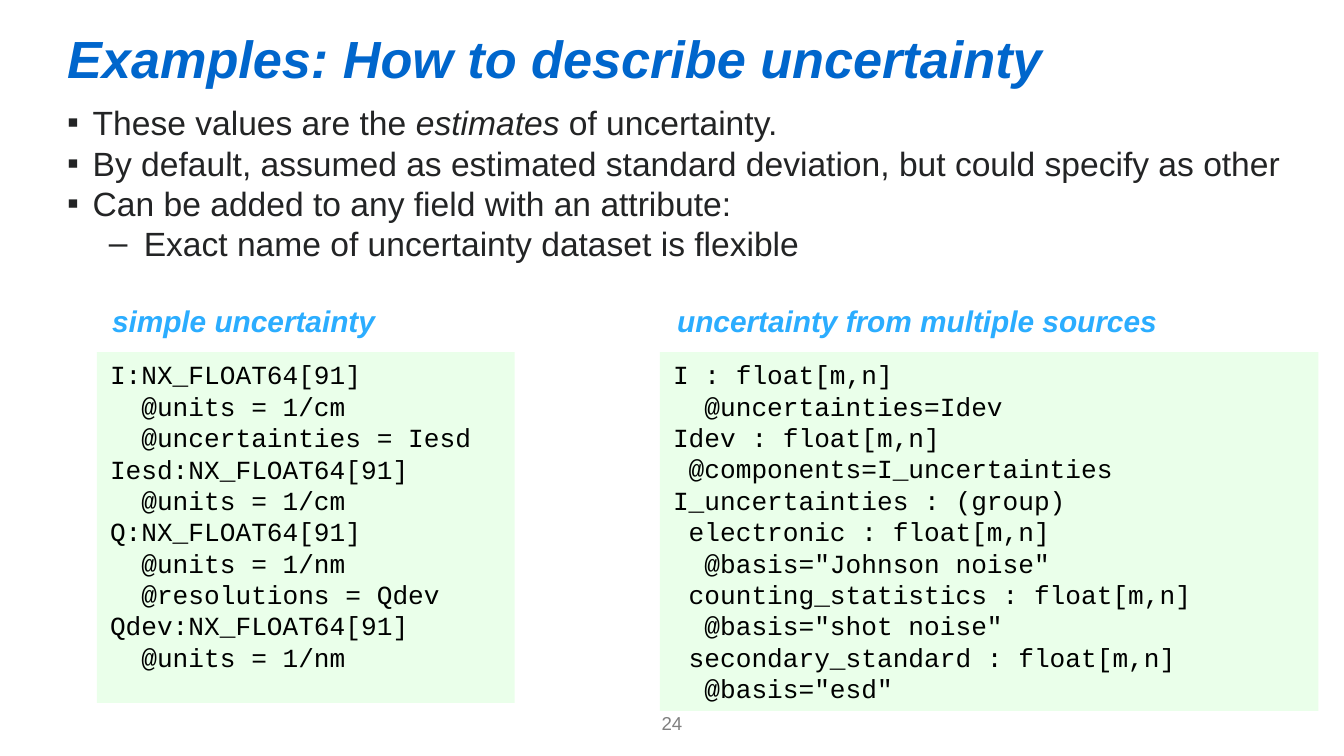
from lxml import etree
from pptx import Presentation
from pptx.dml.color import RGBColor
from pptx.enum.shapes import MSO_SHAPE as Shape
from pptx.enum.text import MSO_ANCHOR as Anchor, MSO_AUTO_SIZE as AutoSize, PP_ALIGN as Align
from pptx.oxml.ns import qn
from pptx.util import Emu, Pt

PX = 4572
COLORS = {
    "title": "0066CC",
    "body": "232425",
    "heading": "2BADFF",
    "code": "000000",
    "panel": "EAFFEA",
    "number": "808080",
}
BULLETS = [
    ("▪", 38, -38, ["These values are the ", "estimates", " of uncertainty."]),
    ("▪", 38, -38, ["By default, assumed as estimated standard deviation, but could specify as other"]),
    ("▪", 38, -38, ["Can be added to any field with an attribute:"]),
    ("–", 114, -52, ["Exact name of uncertainty dataset is flexible"]),
]
SIMPLE_CODE = """I:NX_FLOAT64[91]
  @units = 1/cm
  @uncertainties = Iesd
Iesd:NX_FLOAT64[91]
  @units = 1/cm
Q:NX_FLOAT64[91]
  @units = 1/nm
  @resolutions = Qdev
Qdev:NX_FLOAT64[91]
  @units = 1/nm"""
MULTIPLE_CODE = """I : float[m,n]
  @uncertainties=Idev
Idev : float[m,n]
 @components=I_uncertainties
I_uncertainties : (group)
 electronic : float[m,n]
  @basis="Johnson noise"
 counting_statistics : float[m,n]
  @basis="shot noise"
 secondary_standard : float[m,n]
  @basis="esd\""""


def px(*lengths):
    return [Emu(length * PX) for length in lengths]


def set_font(para, size, color, name="Arial", strong=False):
    font = para.font
    font.name, font.size = name, Pt(size)
    font.bold = font.italic = strong
    font.color.rgb = RGBColor.from_string(COLORS[color])


def set_frame(frame, insets=(0, 0, 0, 0), anchor=Anchor.TOP, wrap=True):
    frame.margin_left, frame.margin_top, frame.margin_right, frame.margin_bottom = px(*insets)
    frame.vertical_anchor = anchor
    frame.word_wrap = wrap
    frame.auto_size = AutoSize.NONE


def set_bullet(para, mark, margin, indent):
    props = para._p.get_or_add_pPr()
    left, hanging = px(margin, indent)
    props.set("marL", str(left))
    props.set("indent", str(hanging))
    color = etree.SubElement(props, qn("a:buClr"))
    etree.SubElement(color, qn("a:srgbClr"), val=COLORS["body"])
    etree.SubElement(props, qn("a:buFont"), typeface="Arial")
    etree.SubElement(props, qn("a:buChar"), char=mark)


def set_title(page, text):
    title = page.shapes.title
    title.left, title.top, title.width, title.height = px(100, 31, 1832, 102)
    set_frame(title.text_frame, anchor=Anchor.BOTTOM)
    title.text_frame.text = text
    para = title.text_frame.paragraphs[0]
    para.alignment = Align.LEFT
    set_font(para, 28, "title", strong=True)


def add_bullets(page):
    frame = page.shapes.add_textbox(*px(100, 152, 1832, 862)).text_frame
    set_frame(frame, (0, 0, 0, 10))
    for index, (mark, margin, indent, spans) in enumerate(BULLETS):
        para = frame.add_paragraph() if index else frame.paragraphs[0]
        para.level = int(mark == "–")
        set_bullet(para, mark, margin, indent)
        set_font(para, 18, "body")
        for text in spans:
            span = para.add_run()
            span.text = text
            if text == "estimates":
                span.font.italic = True


def add_label(page, text, place, size, color, strong=False, **layout):
    frame = page.shapes.add_textbox(*px(*place)).text_frame
    set_frame(frame, **layout)
    frame.text = text
    para = frame.paragraphs[0]
    set_font(para, size, color, strong=strong)
    return para


def add_code(page, code, place):
    panel = page.shapes.add_shape(Shape.RECTANGLE, *px(*place))
    panel.shadow.inherit = False
    panel.fill.solid()
    panel.fill.fore_color.rgb = RGBColor.from_string(COLORS["panel"])
    panel.line.fill.background()
    set_frame(panel.text_frame, (20, 10, 20, 10))
    panel.text_frame.text = code
    for para in panel.text_frame.paragraphs:
        para.alignment = Align.LEFT
        set_font(para, 14, "code", "Courier New")


def main():
    deck = Presentation()
    deck.slide_width, deck.slide_height = px(2000, 1125)
    page = deck.slides.add_slide(deck.slide_layouts[5])
    set_title(page, "Examples: How to describe uncertainty")
    add_bullets(page)
    number = add_label(page, "24", (950, 1062, 100, 30), 10, "number",
                       insets=(0, 10, 0, 0), anchor=Anchor.BOTTOM)
    number.alignment = Align.CENTER
    add_code(page, SIMPLE_CODE, (144, 524, 622, 522))
    add_code(page, MULTIPLE_CODE, (982, 524, 980, 534))
    for text, left, width in [("simple uncertainty", 147, 430),
                              ("uncertainty from multiple sources", 988, 754)]:
        add_label(page, text, (left, 441, width, 72), 16, "heading", strong=True,
                  insets=(20, 10, 20, 10), wrap=False)
    deck.save("out.pptx")


if __name__ == "__main__":
    main()
